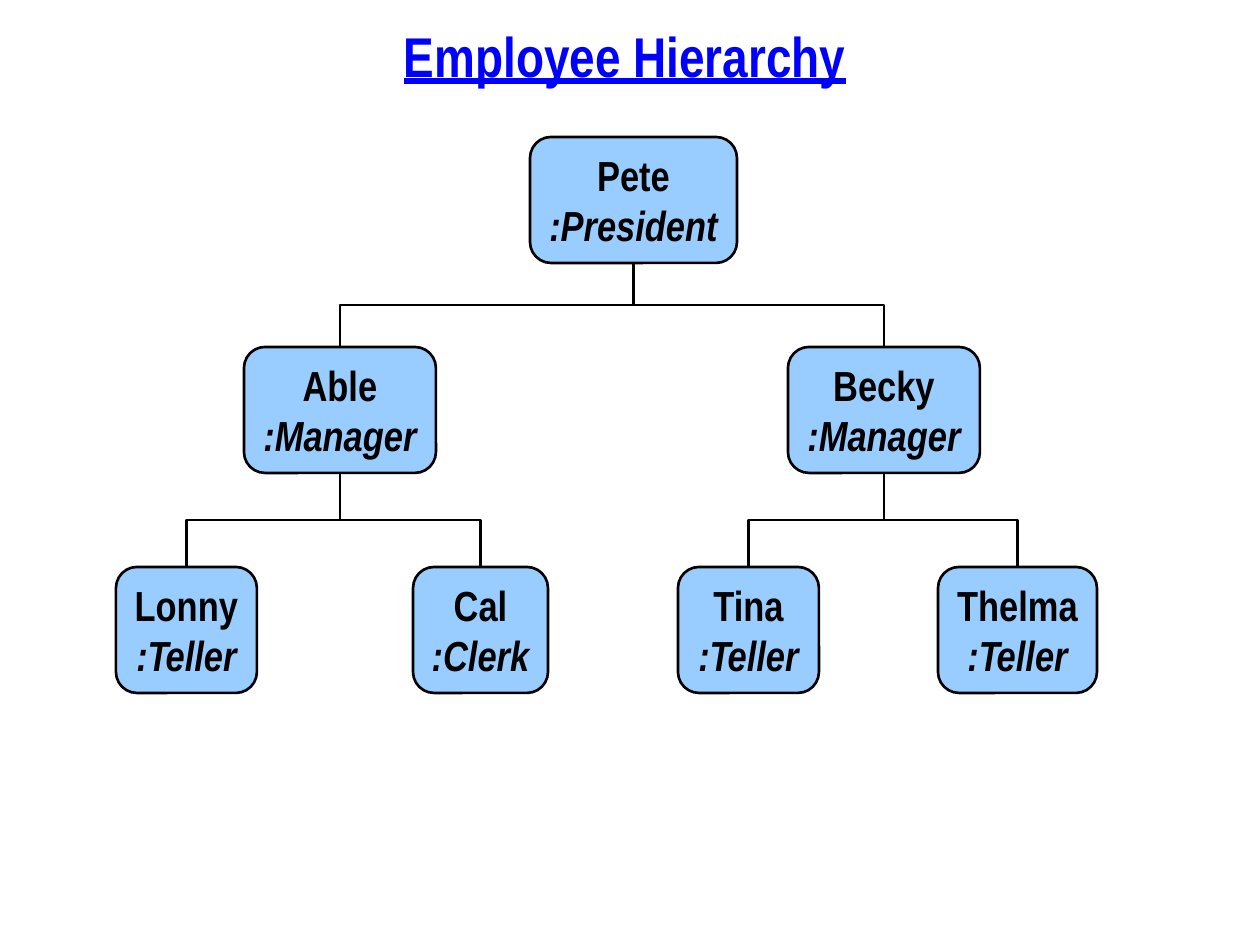
from dataclasses import dataclass

from lxml import etree
from pptx import Presentation
from pptx.dml.color import RGBColor
from pptx.enum import shapes, text
from pptx.oxml import ns
from pptx.util import Pt

PX = 914400 / 126
FONT = "Arial Narrow"
BLACK = RGBColor(0x00, 0x00, 0x00)
TITLE_BLUE = RGBColor(0x00, 0x00, 0xFF)
BOX_BLUE = RGBColor(0x99, 0xCC, 0xFF)
LINE_WIDTH = Pt(1.5)
BOX_HEIGHT = 126
BOTTOM, TOP = 2, 0


@dataclass(frozen=True)
class Employee:
    name: str
    role: str
    left: int
    top: int
    width: int
    boss: str = ""


EMPLOYEES = [
    Employee("Pete", "President", 530, 137, 207),
    Employee("Able", "Manager", 244, 347, 192, "Pete"),
    Employee("Becky", "Manager", 788, 347, 192, "Pete"),
    Employee("Lonny", "Teller", 116, 567, 141, "Able"),
    Employee("Cal", "Clerk", 413, 567, 135, "Able"),
    Employee("Tina", "Teller", 678, 567, 141, "Becky"),
    Employee("Thelma", "Teller", 938, 567, 159, "Becky"),
]


def emu(px: int) -> int:
    return round(px * PX)


def format_text(frame, size: int, color: RGBColor) -> None:
    for paragraph in frame.paragraphs:
        paragraph.alignment = text.PP_ALIGN.CENTER
        for span in paragraph.runs:
            span.font.name = FONT
            span.font.size = Pt(size)
            span.font.bold = True
            span.font.color.rgb = color


def add_title(page, title: str) -> None:
    box = page.shapes.add_textbox(0, emu(11), emu(1250), emu(84))
    frame = box.text_frame
    frame.word_wrap = True
    frame.vertical_anchor = text.MSO_ANCHOR.BOTTOM
    frame.text = title
    format_text(frame, 32, TITLE_BLUE)
    frame.paragraphs[0].runs[0].font.underline = True


def add_employee(page, employee: Employee):
    box = page.shapes.add_shape(
        shapes.MSO_SHAPE.ROUNDED_RECTANGLE,
        emu(employee.left), emu(employee.top), emu(employee.width), emu(BOX_HEIGHT))
    box.shadow.inherit = False
    box.fill.solid()
    box.fill.fore_color.rgb = BOX_BLUE
    box.line.color.rgb = BLACK
    box.line.width = LINE_WIDTH
    frame = box.text_frame
    frame.word_wrap = False
    frame.auto_size = text.MSO_AUTO_SIZE.SHAPE_TO_FIT_TEXT
    frame.vertical_anchor = text.MSO_ANCHOR.MIDDLE
    frame.text = f"{employee.name}\n:{employee.role}"
    format_text(frame, 24, BLACK)
    frame.paragraphs[1].runs[0].font.italic = True
    return box


def add_reporting_line(page, boss, report) -> None:
    """Join two boxes by an elbow that runs down, across and down again."""
    start_x, start_y = boss.left + boss.width // 2, boss.top + boss.height
    end_x, end_y = report.left + report.width // 2, report.top
    line = page.shapes.add_connector(
        shapes.MSO_CONNECTOR.ELBOW, start_x, start_y, end_x, end_y)
    line.begin_connect(boss, BOTTOM)
    line.end_connect(report, TOP)
    line.line.color.rgb = BLACK
    line.line.width = LINE_WIDTH
    properties = line._element.spPr
    etree.SubElement(properties, ns.qn("a:effectLst"))

    # An elbow starts sideways, so its frame is turned a quarter to start downwards.
    drop, reach = end_y - start_y, abs(end_x - start_x)
    line.left = (start_x + end_x - drop) // 2
    line.top = (start_y + end_y - reach) // 2
    line.width, line.height = drop, reach
    goes_right = end_x > start_x
    frame = properties.xfrm
    frame.rot = 270 if goes_right else 90
    frame.flipH = goes_right
    frame.flipV = False


def main() -> None:
    deck = Presentation()
    deck.slide_width, deck.slide_height = emu(1260), emu(945)
    page = deck.slides.add_slide(deck.slide_layouts[6])
    add_title(page, "Employee Hierarchy")
    boxes = {employee.name: add_employee(page, employee) for employee in EMPLOYEES}
    for employee in EMPLOYEES:
        if employee.boss:
            add_reporting_line(page, boxes[employee.boss], boxes[employee.name])
    deck.save("out.pptx")


if __name__ == "__main__":
    main()
